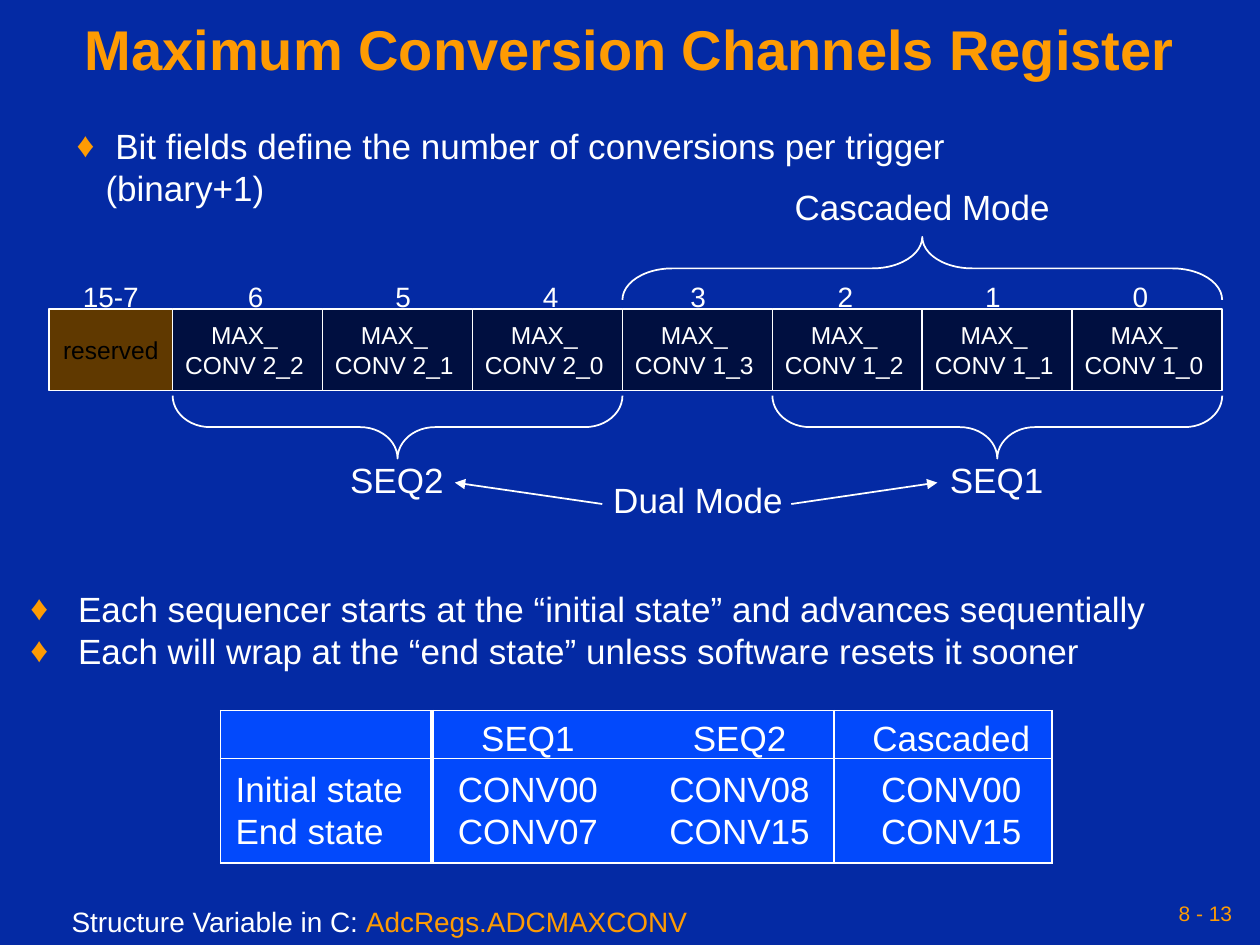
from lxml.etree import SubElement
from pptx import Presentation
from pptx.dml.color import RGBColor
from pptx.enum.shapes import MSO_CONNECTOR as Connector, MSO_SHAPE as Shape
from pptx.enum.text import MSO_ANCHOR as Anchor, PP_ALIGN as Align
from pptx.oxml import parse_xml
from pptx.oxml.ns import nsdecls, qn
from pptx.util import Inches, Pt

COLORS = {"background": "042AA4", "accent": "FE9B03", "white": "FFFFFF", "black": "000000",
          "field": "000F40", "reserved": "603900", "table": "0249FC"}
FONT = "Arial"
TITLE = "Maximum Conversion Channels Register"
PAGE = "8 - 13"
TRIGGER_POINT = [" Bit fields define the number of conversions per trigger (binary+1)"]
STATE_POINTS = ["Each sequencer starts at the “initial state” and advances sequentially",
                "Each will wrap at the “end state” unless software resets it sooner"]
FIELDS = ["2_2", "2_1", "2_0", "1_3", "1_2", "1_1", "1_0"]
BITS = ["6", "5", "4", "3", "2", "1", "0"]
STATES = [["", "SEQ1", "SEQ2", "Cascaded"],
          ["Initial state", "CONV00", "CONV08", "CONV00"],
          ["End state", "CONV07", "CONV15", "CONV15"]]
STRUCTURE = [("Structure Variable in C: ", "white"), ("AdcRegs.ADCMAXCONV", "accent")]

FIELD_LEFT, FIELD_WIDTH = 1.37, 1.19
ROW_TOP, ROW_HEIGHT = 2.45, 0.65
RESERVED_LEFT = 0.39
BIT_START, BIT_PITCH = 2.03, 1.17
BRACE_DEPTH = 0.5
BRACES = [(4, 3, 3.39, 90), (0, 3, 3.39, 90), (3, 4, 2.13, 270)]
MODE_WIDTH = 2.5
MODES = [("Cascaded Mode", 7.32, 1.42), ("Dual Mode", 5.54, 3.75),
         ("SEQ2", 3.15, 3.59), ("SEQ1", 7.91, 3.59)]
ARROWS = [((6.28, 4), (7.44, 3.83)), ((4.78, 4), (3.61, 3.83))]
TABLE_LEFT, TABLE_TOP = 1.75, 5.64
COLUMN_WIDTHS = [1.68, 1.6, 1.59, 1.73]
CELL_MARGINS = [(0.12, 0), (0, 0.08), (0.09, 0), (0.13, 0)]
ROW_HEIGHTS = [0.38, 0.41, 0.42]
ROW_ANCHORS = [Anchor.BOTTOM, Anchor.BOTTOM, Anchor.TOP]
ROW_TOP_MARGINS = [0, 0, 0.02]
VERTICAL_RULES = [1, 3, 0, 1, 1]
HORIZONTAL_RULES = [1, 1, 0, 1]


def rgb(name):
    return RGBColor.from_string(COLORS[name])


def style(paragraph, size, color="white", align=Align.LEFT, bold=False):
    paragraph.alignment = align
    font = paragraph.font
    font.name, font.size, font.bold = FONT, Pt(size), bold
    font.color.rgb = rgb(color)


def fill_text(frame, lines, size, color="white", align=Align.CENTER, bold=False,
              margins=(0.1, 0.05, 0.1, 0.05), anchor=Anchor.TOP, wrap=True, hang=0):
    frame.word_wrap = wrap
    frame.vertical_anchor = anchor
    (frame.margin_left, frame.margin_top,
     frame.margin_right, frame.margin_bottom) = map(Inches, margins)
    for i, line in enumerate(lines):
        paragraph = frame.add_paragraph() if i else frame.paragraphs[0]
        paragraph.text = line
        if hang:
            add_bullet(paragraph, hang)
        style(paragraph, size, color, align, bold)


def add_bullet(paragraph, hang):
    props = paragraph._p.get_or_add_pPr()
    props.set("marL", str(Inches(hang)))
    props.set("indent", str(Inches(-hang)))
    SubElement(SubElement(props, qn("a:buClr")), qn("a:srgbClr")).set("val", COLORS["accent"])
    SubElement(props, qn("a:buFont")).set("typeface", FONT)
    SubElement(props, qn("a:buChar")).set("char", "♦")


def add_text(slide, box, lines, size, **options):
    frame = slide.shapes.add_textbox(*map(Inches, box)).text_frame
    fill_text(frame, lines, size, **options)
    return frame


def outline(shape):
    shape.line.color.rgb = rgb("white")
    shape.line.width = Pt(1)


def add_field(slide, left, width, lines, fill, color, margins):
    field = slide.shapes.add_shape(Shape.RECTANGLE, *map(Inches, (left, ROW_TOP, width, ROW_HEIGHT)))
    field.shadow.inherit = False
    field.fill.solid()
    field.fill.fore_color.rgb = rgb(fill)
    outline(field)
    fill_text(field.text_frame, lines, 14, color=color, margins=margins,
              anchor=Anchor.MIDDLE, wrap=False)


def add_register(slide):
    for i, field in enumerate(FIELDS):
        add_field(slide, FIELD_LEFT + i * FIELD_WIDTH, FIELD_WIDTH,
                  ["MAX_", f"CONV {field}"], "field", "white", (0, 0, 0.05, 0))
    add_field(slide, RESERVED_LEFT, FIELD_LEFT - RESERVED_LEFT,
              ["reserved"], "reserved", "black", (0, 0, 0, 0))
    centers = [0.88] + [BIT_START + i * BIT_PITCH for i in range(len(BITS))]
    for bit, center in zip(["15-7"] + BITS, centers):
        add_text(slide, (center - 0.35, 2.17, 0.7, 0.37), [bit], 16, wrap=False)


def add_modes(slide):
    for first, count, middle, rotation in BRACES:
        length = count * FIELD_WIDTH
        center = FIELD_LEFT + first * FIELD_WIDTH + length / 2
        brace = slide.shapes.add_shape(
            Shape.RIGHT_BRACE, Inches(center - BRACE_DEPTH / 2), Inches(middle - length / 2),
            Inches(BRACE_DEPTH), Inches(length))
        brace.rotation = rotation
        brace.adjustments[0] = length / 12 / BRACE_DEPTH
        brace.shadow.inherit = False
        brace.fill.background()
        outline(brace)
    for mode, center, top in MODES:
        add_text(slide, (center - MODE_WIDTH / 2, top, MODE_WIDTH, 0.44), [mode], 20, wrap=False)
    for start, end in ARROWS:
        arrow = slide.shapes.add_connector(Connector.STRAIGHT, *map(Inches, start + end))
        outline(arrow)
        SubElement(arrow.line._get_or_add_ln(), qn("a:tailEnd")).set("type", "triangle")
        SubElement(arrow._element.spPr, qn("a:effectLst"))


def add_borders(cell, widths):
    props = cell._tc.get_or_add_tcPr()
    for i, (side, width) in enumerate(zip("LRTB", widths)):
        paint = (f'<a:solidFill><a:srgbClr val="{COLORS["white"]}"/></a:solidFill>'
                 if width else "<a:noFill/>")
        props.insert(i, parse_xml(
            f'<a:ln{side} {nsdecls("a")} w="{Pt(width)}">{paint}</a:ln{side}>'))


def add_states(slide):
    size = sum(COLUMN_WIDTHS), sum(ROW_HEIGHTS)
    states = slide.shapes.add_table(len(STATES), len(STATES[0]),
                                    *map(Inches, (TABLE_LEFT, TABLE_TOP) + size)).table
    for column, width in zip(states.columns, COLUMN_WIDTHS):
        column.width = Inches(width)
    for r, row in enumerate(STATES):
        states.rows[r].height = Inches(ROW_HEIGHTS[r])
        for c, value in enumerate(row):
            cell = states.cell(r, c)
            cell.text = value
            cell.fill.solid()
            cell.fill.fore_color.rgb = rgb("table")
            cell.vertical_anchor = ROW_ANCHORS[r]
            cell.margin_left, cell.margin_right = map(Inches, CELL_MARGINS[c])
            cell.margin_top, cell.margin_bottom = Inches(ROW_TOP_MARGINS[r]), 0
            style(cell.text_frame.paragraphs[0], 20, align=Align.CENTER if c else Align.LEFT)
            add_borders(cell, VERTICAL_RULES[c:c + 2] + HORIZONTAL_RULES[r:r + 2])


def main():
    deck = Presentation()
    deck.slide_width, deck.slide_height = Inches(10), Inches(7.5)
    slide = deck.slides.add_slide(deck.slide_layouts[6])
    slide.background.fill.solid()
    slide.background.fill.fore_color.rgb = rgb("background")

    add_text(slide, (6.83, 7.08, 3, 0.33), [PAGE], 12, color="accent", align=Align.RIGHT,
             margins=(0.05,) * 4, anchor=Anchor.MIDDLE)
    title = add_text(slide, (0, 0.08, 10, 0.67), [TITLE], 32, color="accent", bold=True,
                     margins=(0.05,) * 4, anchor=Anchor.MIDDLE)
    title.paragraphs[0].line_spacing = 0.9
    add_text(slide, (0.51, 0.94, 8.2, 0.77), TRIGGER_POINT, 20, align=Align.LEFT, hang=0.23)
    add_text(slide, (0.24, 4.66, 9.62, 0.67), STATE_POINTS, 20, align=Align.LEFT,
             margins=(0,) * 4, hang=0.38)
    add_register(slide)
    add_modes(slide)
    add_states(slide)

    structure = add_text(slide, (0.47, 7.13, 5.86, 0.37), [""], 16, align=Align.LEFT)
    for words, color in STRUCTURE:
        run = structure.paragraphs[0].add_run()
        run.text = words
        run.font.color.rgb = rgb(color)
    deck.save("out.pptx")


if __name__ == "__main__":
    main()
